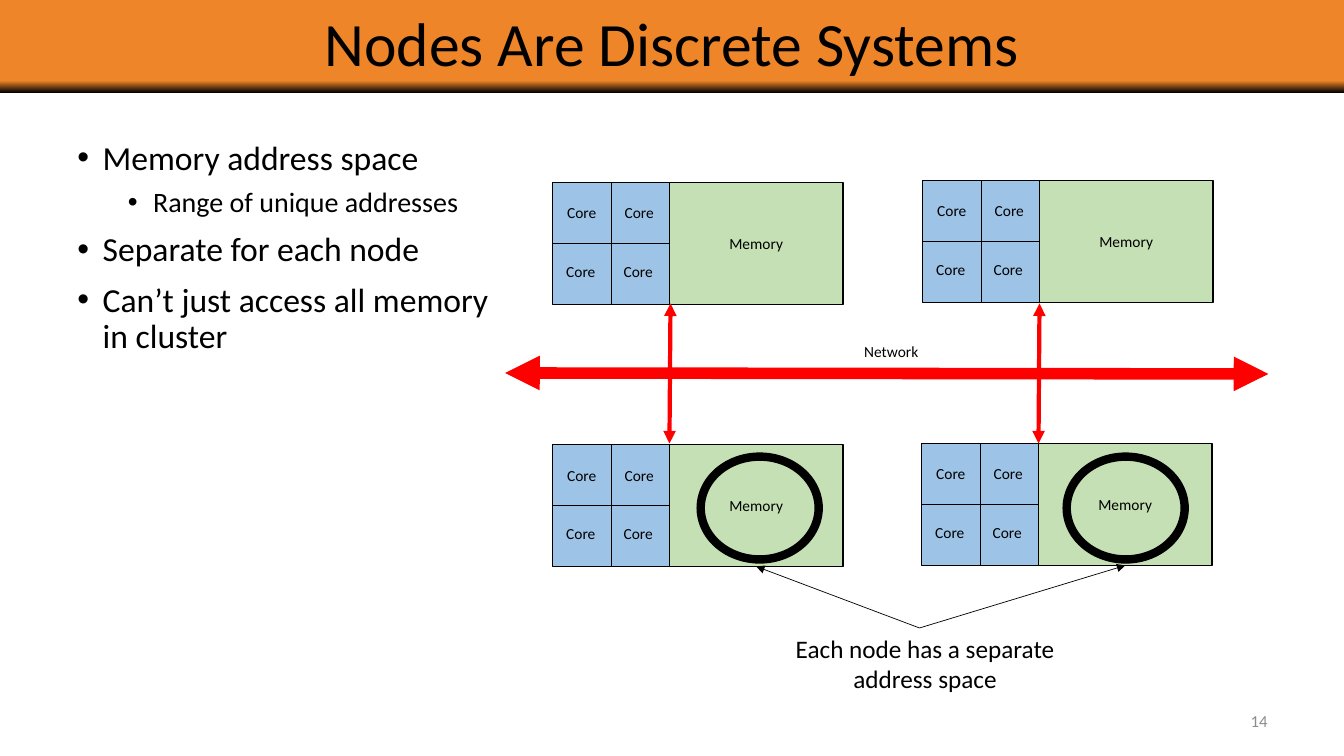
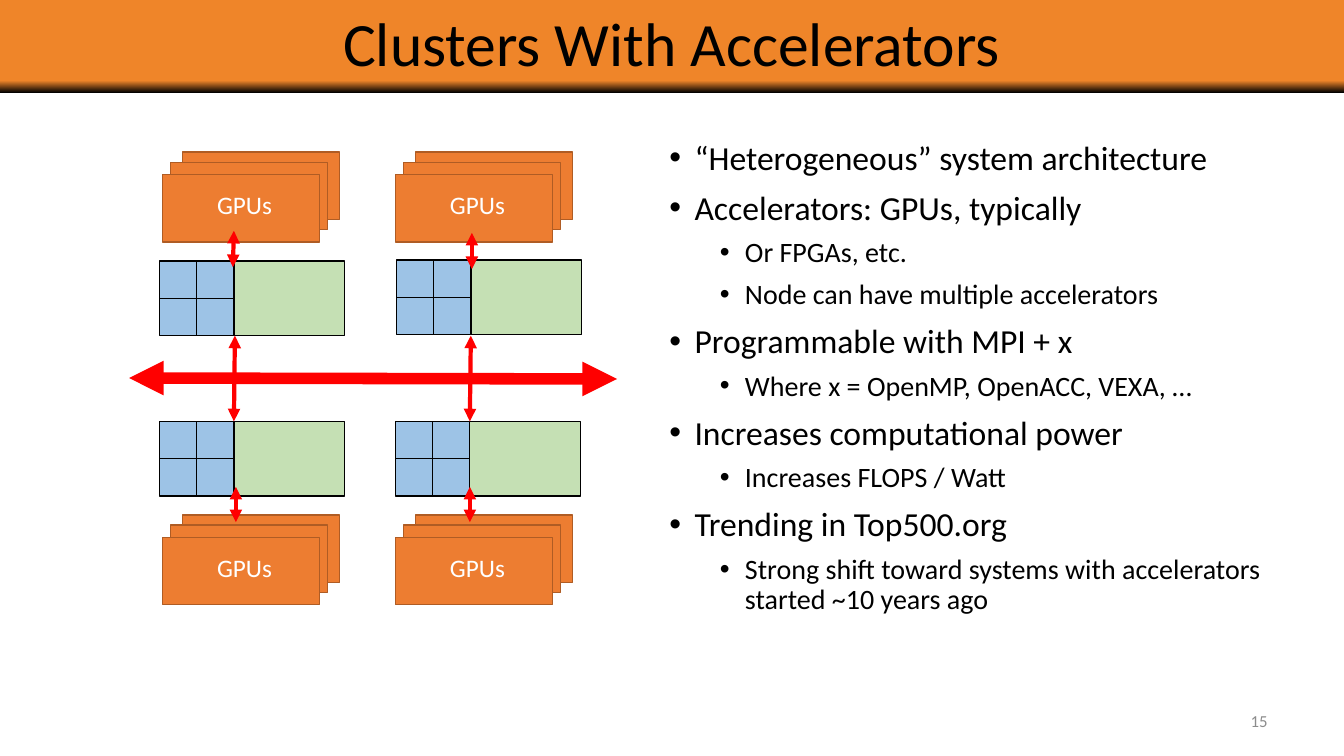
from lxml import etree
from pptx import Presentation
from pptx.dml.color import RGBColor
from pptx.enum.shapes import MSO_CONNECTOR, MSO_SHAPE
from pptx.enum.text import MSO_ANCHOR, PP_ALIGN
from pptx.oxml.ns import qn
from pptx.util import Inches, Pt

RECTANGLE, OVAL = MSO_SHAPE.RECTANGLE, MSO_SHAPE.OVAL
STRAIGHT = MSO_CONNECTOR.STRAIGHT
LEFT, CENTER, RIGHT = PP_ALIGN.LEFT, PP_ALIGN.CENTER, PP_ALIGN.RIGHT
MIDDLE = MSO_ANCHOR.MIDDLE
TOP_SIDE, LEFT_SIDE, BOTTOM_SIDE, RIGHT_SIDE = range(4)

FONT = "Calibri"
BLACK = RGBColor(0x00, 0x00, 0x00)
WHITE = RGBColor(0xFF, 0xFF, 0xFF)
GRAY = RGBColor(0x8C, 0x8C, 0x8C)
BAND_ORANGE = RGBColor(0xEF, 0x85, 0x29)
MEMORY_GREEN = RGBColor(0xC5, 0xE0, 0xB4)
CORE_BLUE = RGBColor(0x9D, 0xC3, 0xE6)
GPU_ORANGE = RGBColor(0xED, 0x7D, 0x31)
GPU_EDGE = RGBColor(0xAF, 0x5C, 0x24)
NETWORK_RED = RGBColor(0xFF, 0x00, 0x00)

BAND_BOX = (0, 0, 13.33, 0.92)
NUMBER_BOX = (9.56, 6.95, 3.11, 0.4)
BULLET_STYLES = [(24, 0.25, 10), (20, 0.75, 8)]  # size, margin, space before

# Node sizes are core width, memory width and height.
# Arrows are x1, y1, x2, y2 and line width.
SLIDES = [
    {
        "title": "Nodes Are Discrete Systems",
        "number": "14",
        "body": (0.67, 1.35, 4.28, 5.3),
        "bullets": [
            (0, "Memory address space"),
            (1, "Range of unique addresses"),
            (0, "Separate for each node"),
            (0, "Can’t just access all memory in cluster"),
        ],
        "node_size": (1.16, 1.72, 1.21),
        "nodes": [(5.48, 1.81), (9.15, 1.79), (5.48, 4.41), (9.14, 4.4)],
        "labelled": True,
        "arrows": [
            (6.65, 3.01, 6.64, 4.4, 3),
            (10.31, 3.01, 10.3, 4.4, 3),
            (12.58, 3.71, 5.01, 3.7, 8.25),
        ],
        "gpus": [],
    },
    {
        "title": "Clusters With Accelerators",
        "number": "15",
        "body": (6.54, 1.35, 6.12, 5.3),
        "bullets": [
            (0, "“Heterogeneous” system architecture"),
            (0, "Accelerators: GPUs, typically"),
            (1, "Or FPGAs, etc."),
            (1, "Node can have multiple accelerators"),
            (0, "Programmable with MPI + x"),
            (1, "Where x = OpenMP, OpenACC, VEXA, …"),
            (0, "Increases computational power"),
            (1, "Increases FLOPS / Watt"),
            (0, "Trending in Top500.org"),
            (1, "Strong shift toward systems with accelerators started ~10 years ago"),
        ],
        "node_size": (0.74, 1.1, 0.74),
        "nodes": [(1.58, 2.59), (3.93, 2.58), (1.58, 4.18), (3.92, 4.18)],
        "labelled": False,
        "arrows": [
            (2.33, 3.33, 2.32, 4.18, 3),
            (4.67, 3.33, 4.66, 4.18, 3),
            (6.12, 3.76, 1.28, 3.75, 8.25),
            (2.32, 2.29, 2.31, 2.65, 3),
            (4.68, 2.31, 4.68, 2.67, 3),
            (2.34, 4.83, 2.34, 5.18, 3),
            (4.66, 4.83, 4.66, 5.18, 3),
        ],
        "gpus": [(1.61, 1.73), (3.92, 1.73), (1.61, 5.33), (3.92, 5.33)],
    },
]


def write(frame, text, size, color=BLACK, align=CENTER):
    """Put one styled run in the first paragraph of a text frame."""
    frame.word_wrap = True
    paragraph = frame.paragraphs[0]
    paragraph.alignment = align
    run = paragraph.add_run()
    run.text = text
    run.font.name = FONT
    run.font.size = Pt(size)
    run.font.color.rgb = color
    return paragraph


def add_line(slide, points, color, width, arrowheads=()):
    """Draw a straight connector; arrowheads names headEnd and/or tailEnd."""
    line = slide.shapes.add_connector(STRAIGHT, *map(Inches, points))
    line.line.color.rgb = color
    line.line.width = Pt(width)
    properties = line._element.spPr
    for end in arrowheads:
        etree.SubElement(properties.find(qn("a:ln")), qn(f"a:{end}"), type="triangle")
    etree.SubElement(properties, qn("a:effectLst"))
    return line


presentation = Presentation()
presentation.slide_width = Inches(13.33)
presentation.slide_height = Inches(7.5)
memories = []

for content in SLIDES:
    slide = presentation.slides.add_slide(presentation.slide_layouts[6])
    shapes = slide.shapes

    # Title band and slide number
    band = shapes.add_shape(RECTANGLE, *map(Inches, BAND_BOX))
    band.shadow.inherit = False
    band.line.fill.background()
    band.fill.gradient()
    band.fill.gradient_angle = 90
    for stop, position, color in zip(band.fill.gradient_stops, (0, 0.13), (BLACK, BAND_ORANGE)):
        stop.position = position
        stop.color.rgb = color
    band.text_frame.vertical_anchor = MIDDLE
    write(band.text_frame, content["title"], 44).line_spacing = 0.9
    number = shapes.add_textbox(*map(Inches, NUMBER_BOX)).text_frame
    number.vertical_anchor = MIDDLE
    write(number, content["number"], 12, GRAY, RIGHT)

    # Bullets
    body = shapes.add_textbox(*map(Inches, content["body"])).text_frame
    body.word_wrap = True
    for index, (level, text) in enumerate(content["bullets"]):
        size, margin, space = BULLET_STYLES[level]
        paragraph = body.add_paragraph() if index else body.paragraphs[0]
        paragraph.level = level
        paragraph.alignment = LEFT
        properties = paragraph._p.get_or_add_pPr()
        properties.set("marL", str(Inches(margin)))
        properties.set("indent", str(Inches(-0.25)))
        etree.SubElement(properties, qn("a:buFont"), typeface="Arial")
        etree.SubElement(properties, qn("a:buChar"), char="•")
        paragraph.line_spacing = 0.9
        if index:
            paragraph.space_before = Pt(space)
        run = paragraph.add_run()
        run.text = text
        run.font.name = FONT
        run.font.size = Pt(size)
        run.font.color.rgb = BLACK

    # Nodes: a two by two block of cores beside the memory
    core_width, memory_width, height = content["node_size"]
    for x, y in content["nodes"]:
        memory = shapes.add_shape(
            RECTANGLE, *map(Inches, (x + core_width, y, memory_width, height)))
        cores = shapes.add_shape(RECTANGLE, *map(Inches, (x, y, core_width, height)))
        for part, color in ((memory, MEMORY_GREEN), (cores, CORE_BLUE)):
            part.shadow.inherit = False
            part.fill.solid()
            part.fill.fore_color.rgb = color
            part.line.color.rgb = BLACK
            part.line.width = Pt(1)
        for start, end in ((TOP_SIDE, BOTTOM_SIDE), (RIGHT_SIDE, LEFT_SIDE)):
            divider = add_line(slide, (x, y, x, y), BLACK, 0.5)
            divider.begin_connect(cores, start)
            divider.end_connect(cores, end)
        if content["labelled"]:
            memories.append(memory)
            memory.text_frame.vertical_anchor = MIDDLE
            write(memory.text_frame, "Memory", 11)
            for row in range(2):
                for column in range(2):
                    label = shapes.add_textbox(
                        Inches(x + 0.57 * column - 0.01 * row), Inches(y + 0.16 + 0.58 * row),
                        Inches(0.58), Inches(0.35))
                    write(label.text_frame, "Core", 11)

    # GPU stacks, back card first
    for x, y in content["gpus"]:
        for dx, dy in ((0.2, -0.22), (0.08, -0.12), (0, 0)):
            card = shapes.add_shape(RECTANGLE, *map(Inches, (x + dx, y + dy, 1.56, 0.67)))
            card.shadow.inherit = False
            card.fill.solid()
            card.fill.fore_color.rgb = GPU_ORANGE
            card.line.color.rgb = GPU_EDGE
            card.line.width = Pt(1)
        frame = card.text_frame
        frame.vertical_anchor = MIDDLE
        frame.margin_left = Inches(0.17)
        frame.margin_bottom = Inches(0.13)
        write(frame, "GPUs", 18, WHITE)

    for *points, width in content["arrows"]:
        add_line(slide, points, NETWORK_RED, width, ("headEnd", "tailEnd"))

# Network label and address space callout on the first slide
slide = presentation.slides[0]
network = slide.shapes.add_textbox(*map(Inches, (8.13, 3.32, 1.42, 0.39))).text_frame
network.margin_top = Inches(0.07)
write(network, "Network", 11)
callout = slide.shapes.add_textbox(*map(Inches, (7.54, 6.23, 3.27, 0.71))).text_frame
write(callout, "Each node has a separate address space", 18)
for memory, ring_left in zip(memories[2:], (6.95, 10.58)):
    pointer = add_line(slide, (9.12, 6.23, 9.12, 6.23), BLACK, 0.5, ("tailEnd",))
    pointer.end_connect(memory, BOTTOM_SIDE)
    ring = slide.shapes.add_shape(OVAL, *map(Inches, (ring_left, 4.53, 1.17, 1.02)))
    ring.shadow.inherit = False
    ring.fill.background()
    ring.line.color.rgb = BLACK
    ring.line.width = Pt(6)

presentation.save("out.pptx")
